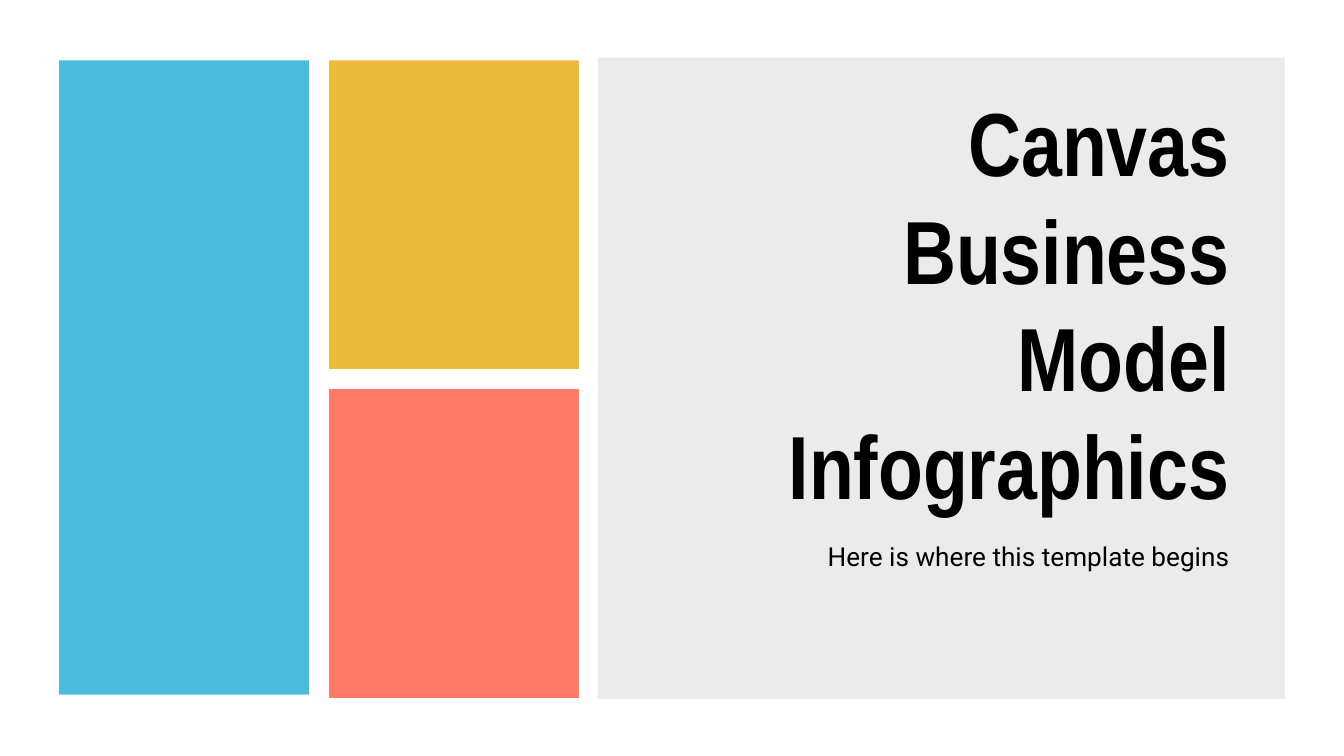
from pptx import Presentation
from pptx import util as u
from pptx.dml.color import RGBColor
from pptx.enum import shapes, text

BLUE = RGBColor(0x4B, 0xBC, 0xDC)
YELLOW = RGBColor(0xE9, 0xBD, 0x3B)
CORAL = RGBColor(0xFF, 0x7B, 0x68)
GREY = RGBColor(0xEB, 0xEB, 0xEB)
BLACK = RGBColor(0, 0, 0)
GAP = u.Cm(0.38)


def add_block(slide, left, top, width, height, color):
    shape = slide.shapes.add_shape(
        shapes.MSO_SHAPE.RECTANGLE, left, top, width, height)
    shape.shadow.inherit = False
    shape.fill.solid()
    shape.fill.fore_color.rgb = color
    shape.line.fill.background()
    return shape


def set_text(shape, words, font_name, size, bold, anchor):
    frame = shape.text_frame
    frame.word_wrap = True
    frame.auto_size = text.MSO_AUTO_SIZE.NONE
    frame.vertical_anchor = anchor
    frame.margin_left = frame.margin_right = u.Cm(0.25)
    frame.margin_top = frame.margin_bottom = u.Cm(0.25)
    paragraph = frame.paragraphs[0]
    paragraph.alignment = text.PP_ALIGN.RIGHT
    paragraph.line_spacing = 1.0
    paragraph.space_before = u.Pt(0)
    run = paragraph.add_run()
    run.text = words
    run.font.name = font_name
    run.font.size = u.Pt(size)
    run.font.bold = bold
    run.font.color.rgb = BLACK


def add_title_panel(slide, left, top, width, height):
    panel = add_block(slide, left, top, width, height, GREY)
    text_left, text_width = left + u.Cm(1.32), u.Cm(10.87)

    # Title, in front of the panel
    title = slide.shapes.title
    title.element.addprevious(panel.element)
    title.left, title.top = text_left, top + u.Cm(2.9)
    title.width, title.height = text_width, u.Cm(6.04)
    set_text(title, "Canvas Business Model Infographics", "Arial Narrow",
             48, True, text.MSO_ANCHOR.BOTTOM)

    # Subtitle
    subtitle = slide.shapes.add_textbox(
        text_left, top + u.Cm(8.87), text_width, u.Cm(1.35))
    set_text(subtitle, "Here is where this template begins", "Roboto",
             14, False, text.MSO_ANCHOR.TOP)


def add_color_blocks(slide, left, top, width, height):
    column = (width - GAP) // 2
    row = (height - GAP) // 2
    # Two stacked blocks on the right, one slightly shorter tall block on the left
    for index, color in ((1, CORAL), (0, YELLOW)):
        add_block(slide, left + column + GAP, top + index * (row + GAP),
                  column, row, color)
    add_block(slide, left, top, column, height - u.Cm(0.06), BLUE)


def main():
    presentation = Presentation()
    presentation.slide_width = u.Cm(25.4)
    presentation.slide_height = u.Cm(14.29)
    slide = presentation.slides.add_slide(presentation.slide_layouts[5])
    add_title_panel(slide, u.Cm(11.3), u.Cm(1.09), u.Cm(12.98), u.Cm(12.12))
    add_color_blocks(slide, u.Cm(1.12), u.Cm(1.14), u.Cm(9.82), u.Cm(12.05))
    presentation.save("out.pptx")


if __name__ == "__main__":
    main()
